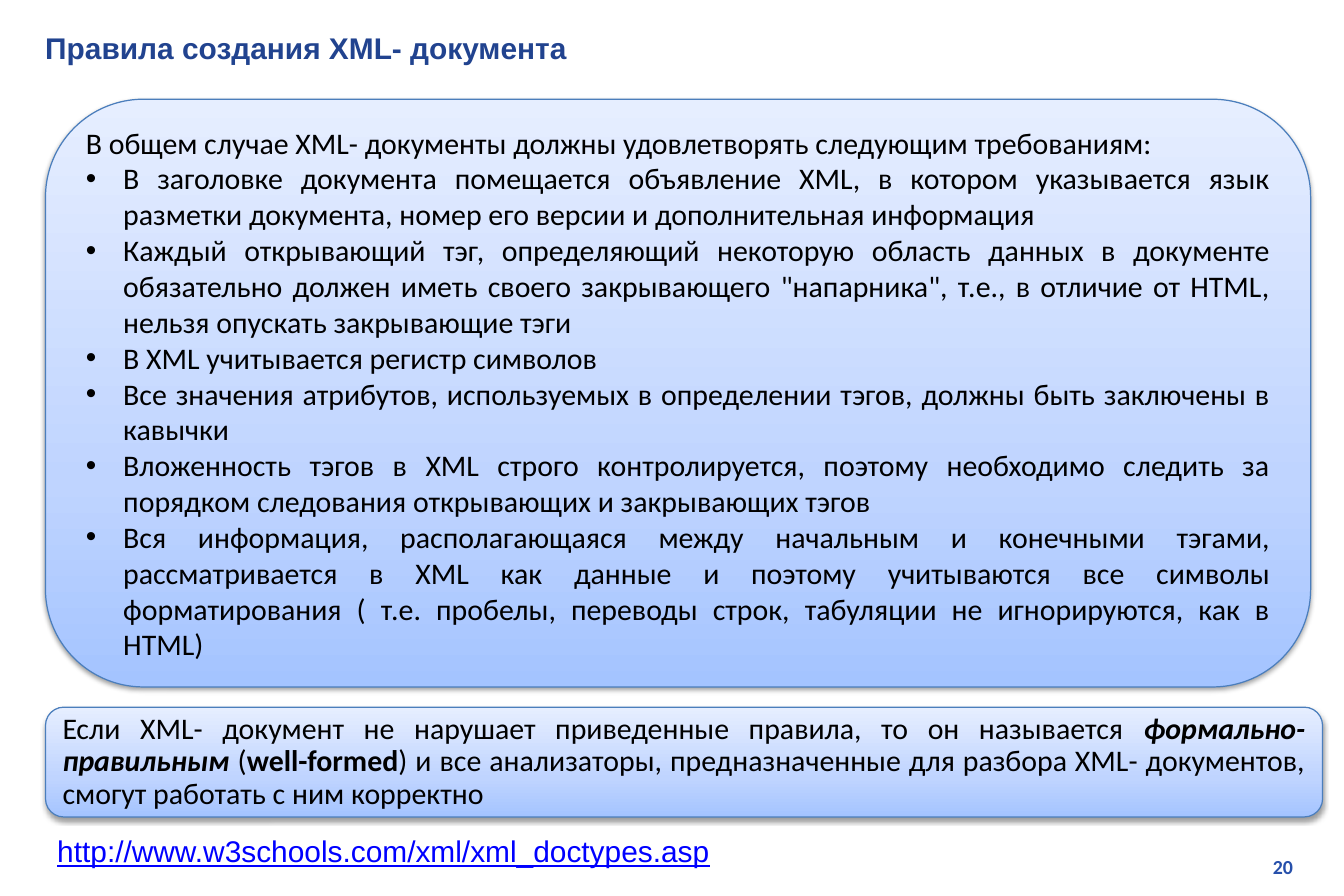
from copy import deepcopy

from pptx import Presentation
from pptx import util as u
from pptx.dml import color
from pptx.enum import shapes, text
from pptx.oxml import parse_xml
from pptx.oxml import ns

HUES = {"title": "21438F", "page": "2750AB", "link": "0000FF", "ink": "000000",
        "edge": "4B7EBC", "deep": "A4C4FF", "mid": "BFD4FF", "pale": "E6EEFF"}
LEFT = 27.4
INDENT = 22.5

INTRO = "В общем случае XML- документы должны удовлетворять следующим требованиям:"
RULES = [
    "В заголовке документа помещается объявление XML, в котором указывается язык "
    "разметки документа, номер его версии и дополнительная информация",
    "Каждый открывающий тэг, определяющий некоторую область данных в документе "
    "обязательно должен иметь своего закрывающего \"напарника\", т.е., в отличие от HTML, "
    "нельзя опускать закрывающие тэги",
    "В XML учитывается регистр символов",
    "Все значения атрибутов, используемых в определении тэгов, должны быть заключены в кавычки",
    "Вложенность тэгов в XML строго контролируется, поэтому необходимо следить за "
    "порядком следования открывающих и закрывающих тэгов",
    "Вся информация, располагающаяся между начальным и конечными тэгами, "
    "рассматривается в XML как данные и поэтому учитываются все символы форматирования "
    "( т.е. пробелы, переводы строк, табуляции не игнорируются, как в HTML)",
]


def rgb(name):
    return color.RGBColor.from_string(HUES[name])


def write(para, words, font="Calibri", size=18, hue="ink", bold=False,
          italic=False, line=False):
    run = para.add_run()
    run.text = words
    face = run.font
    face.name, face.size = font, u.Pt(size)
    face.bold, face.italic, face.underline = bold, italic, line
    face.color.rgb = rgb(hue)


class Page:
    def __init__(self, deck):
        self.slide = deck.slides.add_slide(deck.slide_layouts[6])

    def frame(self, shape):
        frame = shape.text_frame
        frame.word_wrap = True
        frame.vertical_anchor = text.MSO_ANCHOR.MIDDLE
        return frame

    def label(self, box, words, align=text.PP_ALIGN.LEFT, **style):
        shape = self.slide.shapes.add_textbox(*map(u.Pt, box))
        para = self.frame(shape).paragraphs[0]
        para.alignment = align
        write(para, words, **style)

    def panel(self, box):
        shape = self.slide.shapes.add_shape(
            shapes.MSO_SHAPE.ROUNDED_RECTANGLE, *map(u.Pt, box))
        shape.line.color.rgb = rgb("edge")
        shape.line.width = u.Pt(0.75)
        self.blend(shape)
        self.shade(shape)
        return self.frame(shape)

    def blend(self, shape):
        shape.fill.gradient()
        shape.fill.gradient_angle = 90
        stops = shape._element.spPr.find(".//" + ns.qn("a:gsLst"))
        stops.append(deepcopy(stops[-1]))
        marks = [(0, "deep"), (0.35, "mid"), (1, "pale")]
        for stop, (place, hue) in zip(shape.fill.gradient_stops, marks):
            stop.position = place
            stop.color.rgb = rgb(hue)

    def shade(self, shape):
        shape.shadow.inherit = False
        shape._element.spPr.find(ns.qn("a:effectLst")).append(parse_xml(
            f'<a:outerShdw {ns.nsdecls("a")} blurRad="{u.Pt(3.1)}" dist="{u.Pt(1.6)}" '
            'dir="5400000" rotWithShape="0"><a:srgbClr val="000000">'
            '<a:alpha val="38000"/></a:srgbClr></a:outerShdw>'))

    def bullet(self, para):
        props = para._p.get_or_add_pPr()
        props.set("marL", str(u.Pt(INDENT)))
        props.set("indent", str(u.Pt(-INDENT)))
        for tag in ('buFont typeface="Arial"', 'buChar char="•"'):
            name, rest = tag.split(" ", 1)
            props.append(parse_xml(f'<a:{name} {ns.nsdecls("a")} {rest}/>'))


def main():
    deck = Presentation()
    deck.slide_width, deck.slide_height = u.Pt(810), u.Pt(540)
    page = Page(deck)

    # Title
    page.label((20.2, 14.4, 773.3, 28.8), "Правила создания XML- документа",
               font="Arial", hue="title", bold=True)

    # Rules
    frame = page.panel((LEFT, 59.8, 762.5, 354.2))
    for row, words in enumerate([INTRO] + RULES):
        para = frame.add_paragraph() if row else frame.paragraphs[0]
        para.alignment = text.PP_ALIGN.JUSTIFY
        if row:
            page.bullet(para)
        write(para, words)

    # Summary
    para = page.panel((LEFT, 426.2, 769.7, 66.2)).paragraphs[0]
    para.alignment = text.PP_ALIGN.JUSTIFY
    para.line_spacing = 0.9
    write(para, "Если XML- документ не нарушает приведенные правила, то он называется ")
    write(para, "формально-правильным ", bold=True, italic=True)
    write(para, "(")
    write(para, "well-formed", bold=True)
    write(para, ") и все анализаторы, предназначенные для разбора XML- документов, "
                "смогут работать с ним корректно")

    # Link and page number
    page.label((LEFT, 498.2, 586.8, 28.8), "http://www.w3schools.com/xml/xml_doctypes.asp",
               font="Arial", hue="link", line=True)
    page.label((614.9, 511.2, 171.4, 21.6), "20", align=text.PP_ALIGN.RIGHT,
               size=12, hue="page", bold=True)

    deck.save("out.pptx")


if __name__ == "__main__":
    main()
